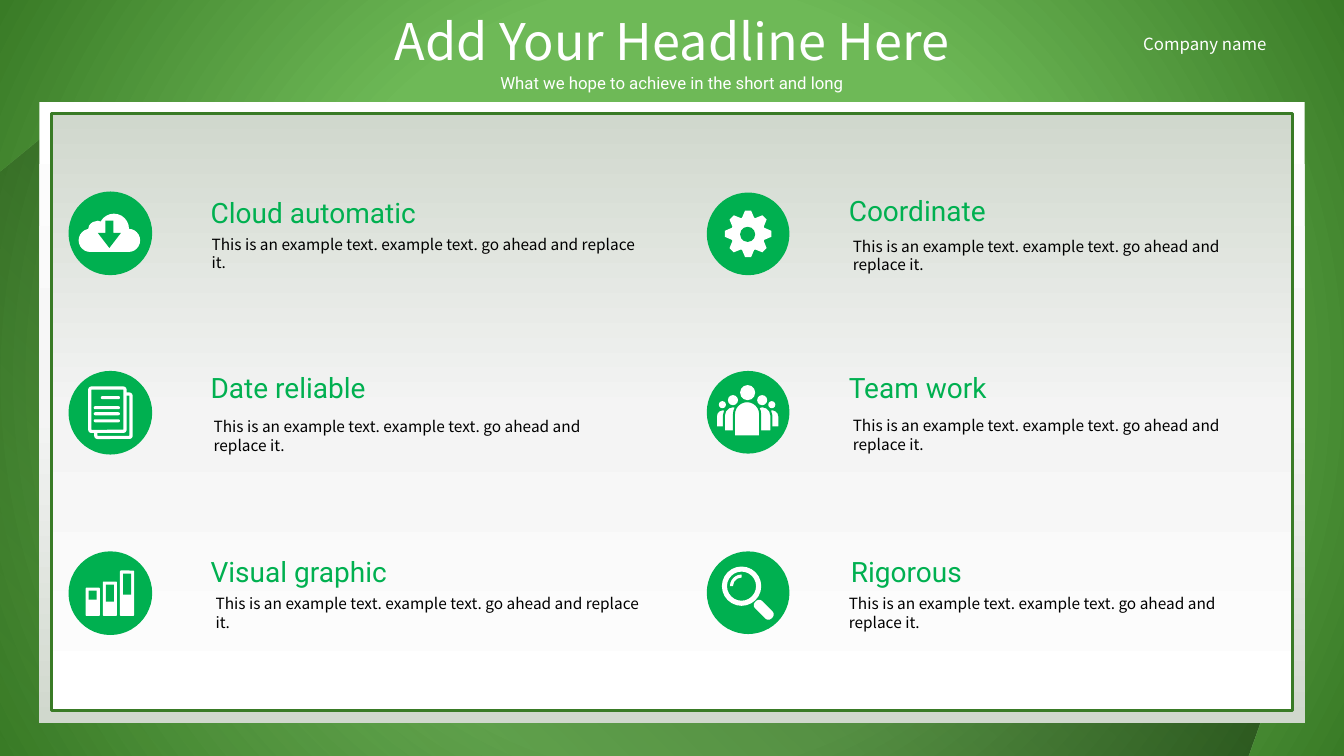
from math import cos, radians, sin
from lxml.etree import fromstring
from pptx import Presentation
from pptx.dml.color import RGBColor
from pptx.enum.shapes import MSO_SHAPE as KIND
from pptx.enum.text import MSO_ANCHOR, MSO_AUTO_SIZE, PP_ALIGN
from pptx.oxml.ns import nsdecls, qn
from pptx.util import Inches, Pt

# Content: heading, its place, body place and width
NOTE = "This is an example text. example text. go ahead and replace it."
ITEMS = [
    ("Cloud automatic", (1.99, 1.89), (2, 2.28, 4.47)),
    ("Visual graphic", (1.99, 5.45), (2.04, 5.85, 4.44)),
    ("Date reliable", (1.99, 3.63), (2.02, 4.09, 4.32)),
    ("Coordinate", (8.32, 1.87), (8.36, 2.3, 4.3)),
    ("Team work", (8.32, 3.63), (8.36, 4.08, 4.3)),
    ("Rigorous", (8.34, 5.45), (8.32, 5.85, 4.3)),
]
SANS, ROBOTO = "Noto Sans CJK SC", "Roboto"
WHITE, GREEN, DARK, BLACK = "FFFFFF", "00B050", "397B26", "000000"
PANEL = [(0, WHITE, 100), (50, "F4F4F4", 100), (100, "D0D8CD", 100)]
SHADE = [(0, BLACK, 50), (100, BLACK, 0)]
GLOW = [(50, "6EB957", 100), (100, DARK, 100)]
WEDGE = [(0.39, 1.38), (12.59, 6.88), (12.37, 7.5), (0, 7.5), (0, 1.7)]

# Icon parts
BARS = [(0.85, 5.83, 0.12), (1.02, 5.77, 0.2), (1.19, 5.66, 0.24)]
RULES = [(1, 3.93, 0.19), (0.93, 4.03, 0.26),
         (0.93, 4.09, 0.26), (0.93, 4.16, 0.26)]
BODIES = [(7.11, 4.07, 0.12, 0.16), (7.6, 4.07, 0.12, 0.16),
          (7.19, 4.04, 0.16, 0.23), (7.48, 4.04, 0.16, 0.23),
          (7.29, 3.99, 0.24, 0.33)]
HEADS = [(7.13, 3.98, 0.07), (7.62, 3.98, 0.07), (7.22, 3.92, 0.1),
         (7.51, 3.92, 0.1), (7.34, 3.82, 0.15)]
TOOTH = [(-0.06, -0.16), (-0.03, -0.23), (0.03, -0.23), (0.06, -0.16)]


def color(code):
    return RGBColor.from_string(code)


def blend(fill, root, stops, shape):
    """Give a fill a gradient; shape is the XML for its direction."""
    fill.solid()
    marks = "".join(
        f'<a:gs pos="{pos * 1000}"><a:srgbClr val="{code}">'
        f'<a:alpha val="{alpha * 1000}"/></a:srgbClr></a:gs>'
        for pos, code, alpha in stops)
    old = root.find(".//" + qn("a:solidFill"))
    old.getparent().replace(old, fromstring(
        f'<a:gradFill {nsdecls("a")} rotWithShape="1">'
        f"<a:gsLst>{marks}</a:gsLst>{shape}</a:gradFill>"))


def linear(shape, stops, angle):
    blend(shape.fill, shape._element.spPr, stops,
          f'<a:lin ang="{angle * 60000}" scaled="0"/>')


def plain(shape, fill=WHITE, line=None, width=1):
    shape.shadow.inherit = False
    shape.fill.solid()
    shape.fill.fore_color.rgb = color(fill)
    if line:
        shape.line.color.rgb = color(line)
        shape.line.width = Pt(width)
    else:
        shape.line.fill.background()
    return shape


def draw(host, kind, x, y, w, h, fill=WHITE, adj=(), **line):
    shape = host.add_shape(kind, *map(Inches, (x, y, w, h)))
    for i, val in enumerate(adj):
        shape.adjustments[i] = val
    return plain(shape, fill, **line)


def trace(host, points):
    dots = [(Inches(x), Inches(y)) for x, y in points]
    form = host.build_freeform(*dots[0])
    form.add_line_segments(dots[1:], close=True)
    return plain(form.convert_to_shape())


def write(box, text, size, font, code, align=PP_ALIGN.LEFT, wrap=False, lead=None):
    frame = box.text_frame
    frame.text = text
    frame.word_wrap = wrap
    frame.auto_size = MSO_AUTO_SIZE.NONE
    frame.vertical_anchor = MSO_ANCHOR.TOP
    para = frame.paragraphs[0]
    para.alignment = align
    para.line_spacing = lead
    para.font.size, para.font.name = Pt(size), font
    para.font.color.rgb = color(code)


def label(x, y, w, h, *args, **kwargs):
    write(shapes.add_textbox(*map(Inches, (x, y, w, h))), *args, **kwargs)


def badge(x, y, size=0.82):
    host = shapes.add_group_shape().shapes
    draw(host, KIND.OVAL, x, y, size, size, GREEN)
    return host


deck = Presentation()
deck.slide_width, deck.slide_height = Inches(13.33), Inches(7.5)
slide = deck.slides.add_slide(deck.slide_layouts[5])
shapes = slide.shapes

# Background, shadow wedge and panels
blend(slide.background.fill, slide._element, GLOW,
      '<a:path path="circle"><a:fillToRect l="50000" t="50000" '
      'r="50000" b="50000"/></a:path>')
linear(trace(shapes, WEDGE), SHADE, 135)
linear(draw(shapes, KIND.RECTANGLE, 0.39, 1.01, 12.55, 6.16), PANEL, 90)
linear(draw(shapes, KIND.RECTANGLE, 0.51, 1.13, 12.31, 5.92,
            line=DARK, width=2.25), PANEL, 270)

# Header
title = shapes.title
title.left, title.top, title.width, title.height = map(
    Inches, (3.62, 0.05, 6.09, 0.71))
write(title, "Add Your Headline Here", 36, SANS, WHITE, PP_ALIGN.CENTER)
label(4.77, 0.65, 3.79, 0.32, "What we hope to achieve in the short and long",
      12, ROBOTO, WHITE, PP_ALIGN.CENTER, lead=1.1)
label(11.24, 0.29, 1.56, 0.3, "Company name", 12, SANS, WHITE)

# Six items
for head, spot, (x, y, w) in ITEMS:
    label(*spot, 2.37, 0.44, head, 20, ROBOTO, GREEN, wrap=True)
    label(x, y, w, 0.47, NOTE, 11, SANS, BLACK, wrap=True)

# Cloud
icon = badge(0.68, 1.9, 0.83)
draw(icon, KIND.ROUNDED_RECTANGLE, 0.78, 2.27, 0.61, 0.23, adj=[0.5])
draw(icon, KIND.OVAL, 0.98, 2.12, 0.3, 0.3)
draw(icon, KIND.OVAL, 0.87, 2.19, 0.2, 0.2)
draw(icon, KIND.DOWN_ARROW, 0.97, 2.19, 0.23, 0.27, GREEN, [0.35, 0.65])

# Bars, each with a window
icon = badge(0.68, 5.47, 0.83)
for x, y, tall in BARS:
    draw(icon, KIND.ROUNDED_RECTANGLE, x, y, 0.14, 6.11 - y, adj=[0.07])
    draw(icon, KIND.RECTANGLE, x + 0.03, y + 0.03, 0.08, tall - 0.03, GREEN)

# Sheets, back then front
icon = badge(0.68, 3.68, 0.83)
for x, y in [(0.95, 3.91), (0.89, 3.85)]:
    draw(icon, KIND.ROUNDED_RECTANGLE, x, y, 0.35, 0.43, GREEN, [0.05],
         line=WHITE, width=2.3)
for x, y, w in RULES:
    draw(icon, KIND.ROUNDED_RECTANGLE, x, y, w, 0.03, adj=[0.5])

# Gear
icon = badge(7.01, 1.91)
turns = [radians(45 * i) for i in range(8)]
trace(icon, [(7.42 + x * cos(t) - y * sin(t), 2.32 + x * sin(t) + y * cos(t))
             for t in turns for x, y in TOOTH])
draw(icon, KIND.OVAL, 7.34, 2.25, 0.15, 0.15, GREEN)

# Team, each body edged in green
icon = badge(7.01, 3.68)
for x, y, w, h in BODIES:
    draw(icon, KIND.ROUND_2_SAME_RECTANGLE, x - 0.01, y - 0.01, w + 0.02,
         h + 0.02, adj=[0.5, 0], line=GREEN, width=1.44)
for x, y, size in HEADS:
    draw(icon, KIND.OVAL, x, y, size, size)

# Magnifier
icon = badge(7.01, 5.47)
draw(icon, KIND.DONUT, 7.16, 5.62, 0.39, 0.39, adj=[0.13])
draw(icon, KIND.BLOCK_ARC, 7.24, 5.7, 0.23, 0.23, adj=[108, 162, 0.13])
grip = draw(icon, KIND.ROUNDED_RECTANGLE, 7.46, 6, 0.23, 0.1, adj=[0.4])
grip.rotation = 45

deck.save("out.pptx")
